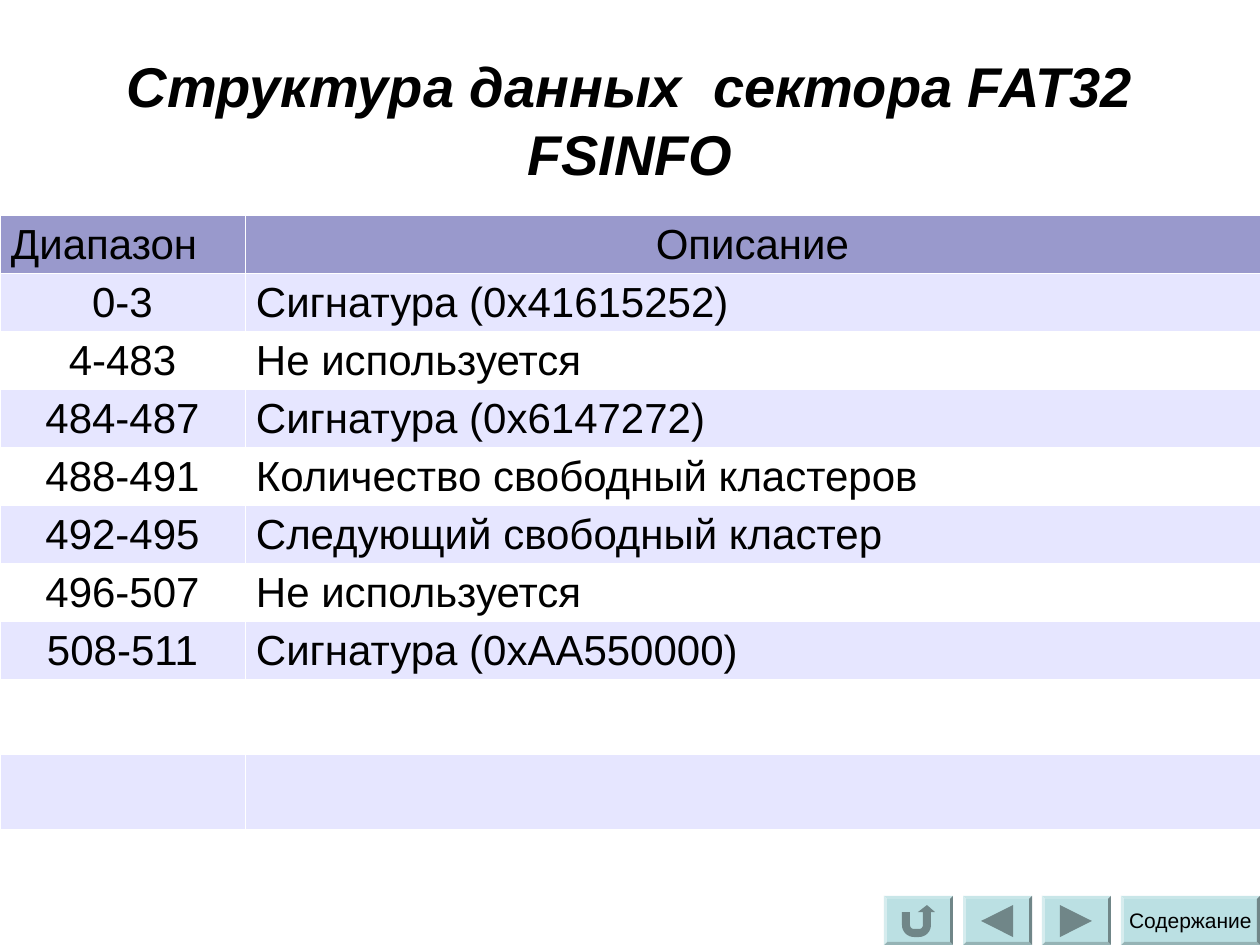
from math import cos, radians, sin

from lxml.etree import SubElement
from pptx import Presentation
from pptx.dml.color import RGBColor
from pptx.enum.shapes import MSO_SHAPE as Shape
from pptx.enum.text import MSO_ANCHOR as Anchor, MSO_AUTO_SIZE as AutoSize, PP_ALIGN as Align
from pptx.oxml.ns import qn
from pptx.util import Pt

EMU_PER_PX = 914400 / 126
FONT = "Arial"
COLORS = {
    "text": "000000",
    "header": "9999CC",
    "band": "E6E6FF",
    "plain": "FFFFFF",
    "border": "FFFFFF",
    "button": "BBE0E3",
    "symbol": "708688",
}

TITLE = "Структура данных  сектора FAT32 FSINFO"
FIELDS = [
    ("Диапазон", "Описание"),
    ("0-3", "Сигнатура (0x41615252)"),
    ("4-483", "Не используется"),
    ("484-487", "Сигнатура (0x6147272)"),
    ("488-491", "Количество свободный кластеров"),
    ("492-495", "Следующий свободный кластер"),
    ("496-507", "Не используется"),
    ("508-511", "Сигнатура (0xAA550000)"),
]
EMPTY_ROWS = 3
COLUMN_WIDTHS = (245, 1015)
FIELD_HEIGHT, EMPTY_HEIGHT = 58, 75

BUTTON_LEFT, BUTTON_TOP, BUTTON_STEP = 884, 896, 79
BUTTON_WIDTH, CONTENTS_WIDTH, BUTTON_HEIGHT = 69, 139, 49
BEVEL = 0.06


def px(length):
    return round(length * EMU_PER_PX)


def rgb(name):
    return RGBColor.from_string(COLORS[name])


def paint(shape, color):
    shape.shadow.inherit = False
    shape.fill.solid()
    shape.fill.fore_color.rgb = rgb(color)
    shape.line.fill.background()


def write(frame, text, size, align, bold=False, italic=False):
    frame.text = text
    paragraph = frame.paragraphs[0]
    paragraph.alignment = align
    font = paragraph.font
    font.name, font.size = FONT, Pt(size)
    font.bold, font.italic = bold, italic
    font.color.rgb = rgb("text")


def set_margins(box, left, top, right, bottom):
    box.margin_left, box.margin_top = px(left), px(top)
    box.margin_right, box.margin_bottom = px(right), px(bottom)


def add_title(slide):
    title = slide.shapes.title
    title.left, title.top, title.width, title.height = map(px, (63, 38, 1134, 157))
    frame = title.text_frame
    frame.word_wrap = True
    frame.auto_size = AutoSize.NONE
    frame.vertical_anchor = Anchor.MIDDLE
    set_margins(frame, 0, 5, 0, 0)
    write(frame, TITLE, 32, Align.CENTER, bold=True, italic=True)


def add_borders(cell):
    properties = cell._tc.get_or_add_tcPr()
    for side in ("lnL", "lnR", "lnT", "lnB"):
        line = SubElement(properties, qn(f"a:{side}"), w=str(Pt(0.06)))
        fill = SubElement(line, qn("a:solidFill"))
        SubElement(fill, qn("a:srgbClr"), val=COLORS["border"])


def format_cell(cell, color):
    add_borders(cell)
    cell.fill.solid()
    cell.fill.fore_color.rgb = rgb(color)
    cell.vertical_anchor = Anchor.MIDDLE
    set_margins(cell, 11, 6, 11, 5)


def add_field_table(slide):
    heights = [FIELD_HEIGHT] * len(FIELDS) + [EMPTY_HEIGHT] * EMPTY_ROWS
    table = slide.shapes.add_table(
        len(heights), len(COLUMN_WIDTHS),
        0, px(215), px(sum(COLUMN_WIDTHS)), px(sum(heights)),
    ).table
    table.horz_banding = False
    for column, width in zip(table.columns, COLUMN_WIDTHS):
        column.width = px(width)

    for index, (row, height) in enumerate(zip(table.rows, heights)):
        row.height = px(height)
        color = "header" if index == 0 else ("plain", "band")[index % 2]
        for cell in row.cells:
            format_cell(cell, color)

    # The header is aligned the opposite way to the rows below it
    for index, field in enumerate(FIELDS):
        aligns = (Align.LEFT, Align.CENTER) if index == 0 else (Align.CENTER, Align.LEFT)
        for cell, text, align in zip(table.rows[index].cells, field, aligns):
            write(cell.text_frame, text, 24, align)


def arc(x, y, radius, start, end, steps=8):
    angles = [radians(start + (end - start) * i / steps) for i in range(steps + 1)]
    return [(x + radius * cos(a), y + radius * sin(a)) for a in angles]


def return_arrow():
    return [
        (18, 16), (26, 16),
        *arc(30, 29, 4, 180, 90), *arc(35, 29, 4, 90, 0),
        (39, 16), (34, 16), (43, 9), (51, 16), (47, 16),
        *arc(35, 29, 12, 0, 90), *arc(30, 29, 12, 90, 180),
    ]


def add_button(slide, position, width):
    left = BUTTON_LEFT + position * BUTTON_STEP
    button = slide.shapes.add_shape(
        Shape.BEVEL, px(left), px(BUTTON_TOP), px(width), px(BUTTON_HEIGHT))
    button.adjustments[0] = BEVEL
    paint(button, "button")
    return button


def add_symbol_button(slide, position, outline):
    add_button(slide, position, BUTTON_WIDTH)
    left = BUTTON_LEFT + position * BUTTON_STEP
    points = [(px(left + x), px(BUTTON_TOP + y)) for x, y in outline]
    builder = slide.shapes.build_freeform(*points[0])
    builder.add_line_segments(points[1:], close=True)
    paint(builder.convert_to_shape(), "symbol")


def add_contents_button(slide, position):
    frame = add_button(slide, position, CONTENTS_WIDTH).text_frame
    frame.word_wrap = False
    frame.vertical_anchor = Anchor.MIDDLE
    write(frame, "Содержание", 12, Align.CENTER)


def main():
    deck = Presentation()
    deck.slide_width, deck.slide_height = px(1260), px(945)
    slide = deck.slides.add_slide(deck.slide_layouts[5])

    add_title(slide)
    add_field_table(slide)

    # Navigation: return, back, forward, contents
    symbols = (
        return_arrow(),
        [(18, 25), (50, 9), (50, 41)],
        [(18, 9), (50, 25), (18, 41)],
    )
    for position, outline in enumerate(symbols):
        add_symbol_button(slide, position, outline)
    add_contents_button(slide, len(symbols))

    deck.save("out.pptx")


if __name__ == "__main__":
    main()
